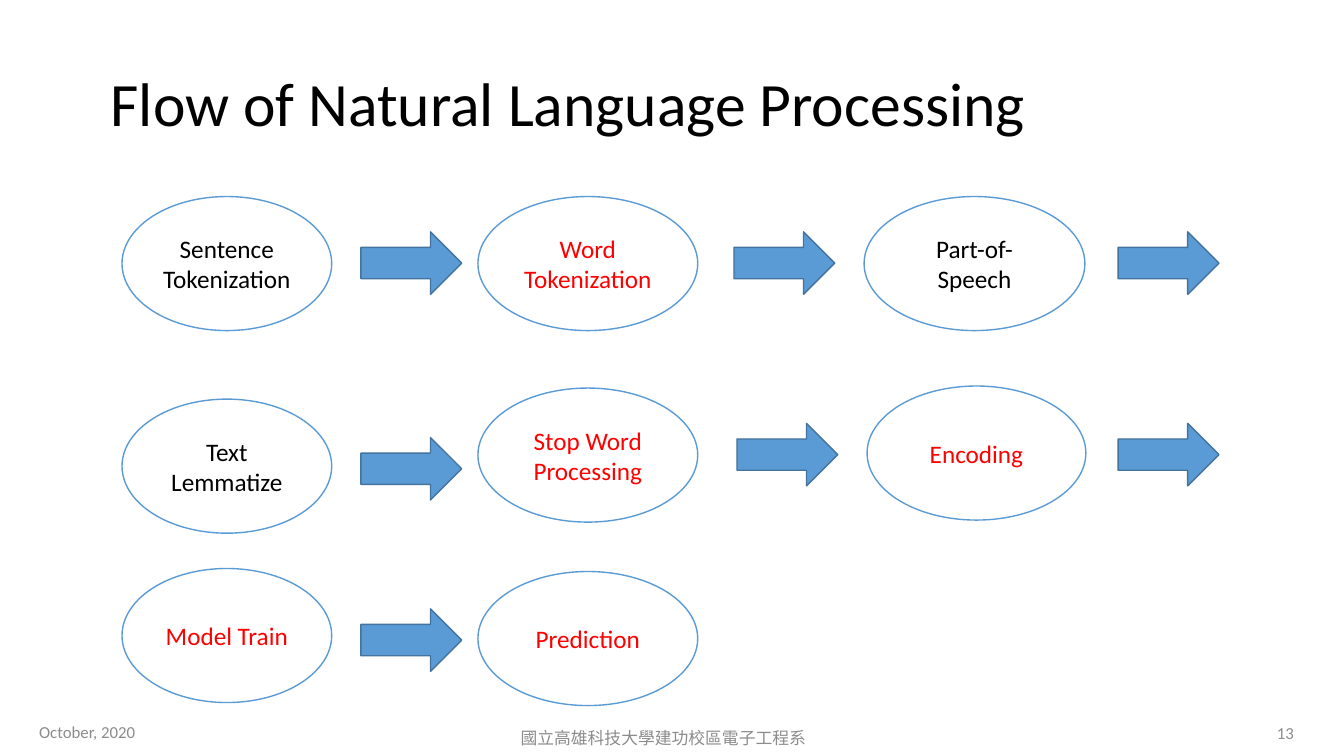
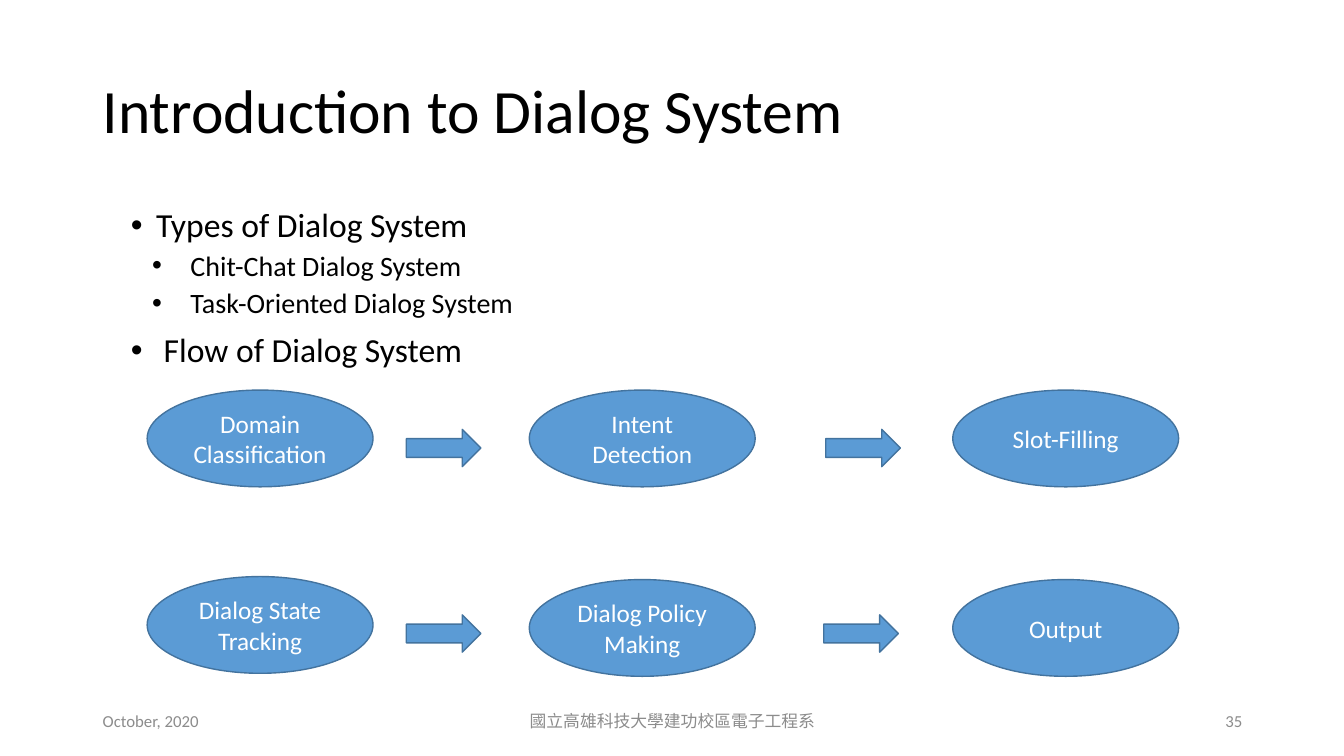
from dataclasses import dataclass

from lxml.etree import SubElement
from pptx import Presentation
from pptx.dml.color import RGBColor
from pptx.enum.shapes import MSO_SHAPE
from pptx.enum.text import MSO_ANCHOR, PP_ALIGN
from pptx.oxml.ns import qn
from pptx.util import Inches, Pt


@dataclass(frozen=True)
class Theme:
    font: str = "Calibri"
    black: RGBColor = RGBColor(0x00, 0x00, 0x00)
    white: RGBColor = RGBColor(0xFF, 0xFF, 0xFF)
    red: RGBColor = RGBColor(0xFF, 0x00, 0x00)
    gray: RGBColor = RGBColor(0x8C, 0x8C, 0x8C)
    blue: RGBColor = RGBColor(0x5B, 0x9B, 0xD5)
    dark_blue: RGBColor = RGBColor(0x43, 0x73, 0x9E)
    title: int = 44
    body: int = 24
    sub: int = 20
    node: int = 18
    footer: int = 12


T = Theme()


def write(tf, text, size=T.node, color=T.black, align=PP_ALIGN.LEFT,
          anchor=MSO_ANCHOR.MIDDLE, spacing=1.0, before=0, level=0):
    """Fill the empty first paragraph of tf, or append a new one."""
    tf.word_wrap = True
    tf.vertical_anchor = anchor
    p = tf.add_paragraph() if tf.text else tf.paragraphs[0]
    p.alignment, p.line_spacing, p.level = align, spacing, level
    p.space_before = Pt(before)
    r = p.add_run()
    r.text = text
    r.font.name, r.font.size, r.font.color.rgb = T.font, Pt(size), color
    return p


def add_shape(s, kind, box, fill=T.blue, line=T.dark_blue):
    sp = s.shapes.add_shape(kind, *map(Inches, box))
    sp.shadow.inherit = False
    sp.fill.solid()
    sp.fill.fore_color.rgb = fill
    sp.line.color.rgb = line
    sp.line.width = Pt(1)
    return sp


prs = Presentation()
prs.slide_width, prs.slide_height = Inches(13.33), Inches(7.5)

# Titles and footers
L, C, R = PP_ALIGN.LEFT, PP_ALIGN.CENTER, PP_ALIGN.RIGHT
frames = [
    ("Flow of Natural Language Processing", (1, 0.68, 11.33, 1.43), MSO_ANCHOR.TOP, "13",
     [(0.29, 7.06, 3, 0.4), (2.93, 7.12, 7.3, 0.4), (12.09, 7.07, 0.84, 0.4)]),
    ("Introduction to Dialog System", (0.92, 0.4, 11.5, 1.45), MSO_ANCHOR.MIDDLE, "35",
     [(0.92, 6.95, 3, 0.4), (4.42, 6.95, 4.5, 0.4), (9.42, 6.95, 3, 0.4)]),
]
slides = []
for title, title_box, anchor, number, footer_boxes in frames:
    s = prs.slides.add_slide(prs.slide_layouts[6])
    tf = s.shapes.add_textbox(*map(Inches, title_box)).text_frame
    write(tf, title, size=T.title, anchor=anchor, spacing=0.9)
    footers = ["October, 2020", "國立高雄科技大學建功校區電子工程系", number]
    for box, text, align in zip(footer_boxes, footers, (L, C, R)):
        tf = s.shapes.add_textbox(*map(Inches, box)).text_frame
        write(tf, text, size=T.footer, color=T.gray, align=align)
    slides.append(s)
language, dialog = slides

# Language processing: outlined steps, red where highlighted
steps = [
    ("Sentence Tokenization", T.black, 1.21, 1.95, 2.08),
    ("Word Tokenization", T.red, 4.74, 1.95, 2.18),
    ("Part-of-Speech", T.black, 8.57, 1.95, 2.19),
    ("Text Lemmatize", T.black, 1.21, 3.96, 2.08),
    ("Stop Word Processing", T.red, 4.74, 3.85, 2.18),
    ("Encoding", T.red, 8.6, 3.83, 2.17),
    ("Model Train", T.red, 1.21, 5.64, 2.08),
    ("Prediction", T.red, 4.74, 5.67, 2.18),
]
for text, color, x, y, w in steps:
    sp = add_shape(language, MSO_SHAPE.OVAL, (x, y, w, 1.33), fill=T.white, line=T.blue)
    write(sp.text_frame, text, color=color, align=C)
for x, y in [(3.58, 2.3), (7.28, 2.3), (11.09, 2.3),
             (3.58, 4.34), (7.31, 4.2), (11.09, 4.2), (3.58, 6.04)]:
    add_shape(language, MSO_SHAPE.RIGHT_ARROW, (x, y, 1, 0.62))

# Dialog system: bullets
bullets = [
    (0, "Types of Dialog System"),
    (1, "Chit-Chat Dialog System"),
    (1, "Task-Oriented Dialog System"),
    (0, " Flow of Dialog System"),
]
levels = [(T.body, 10, 0.25, 0.25), (T.sub, 5, 0.59, 0.38)]
tf = dialog.shapes.add_textbox(*map(Inches, (1.2, 2.02, 10.92, 4.69))).text_frame
for level, text in bullets:
    size, before, margin, hanging = levels[level]
    p = write(tf, text, size=size, anchor=MSO_ANCHOR.TOP, spacing=0.9,
              before=before, level=level)
    pPr = p._p.get_or_add_pPr()
    pPr.set("marL", str(Inches(margin)))
    pPr.set("indent", str(-Inches(hanging)))
    SubElement(pPr, qn("a:buFont"), typeface="Arial")
    SubElement(pPr, qn("a:buChar"), char="•")

# Dialog system: filled stages in two rows
stage_rows = [
    ((3.87, 3.87, 3.87), ("Domain Classification", "Intent Detection", "Slot-Filling")),
    ((5.72, 5.75, 5.75), ("Dialog State Tracking", "Dialog Policy Making", "Output")),
]
for tops, names in stage_rows:
    for x, y, text in zip((1.46, 5.25, 9.45), tops, names):
        sp = add_shape(dialog, MSO_SHAPE.OVAL, (x, y, 2.24, 0.96))
        write(sp.text_frame, text, color=T.white, align=C)
for x, y in [(4.03, 4.26), (8.19, 4.26), (4.03, 6.1), (8.17, 6.1)]:
    add_shape(dialog, MSO_SHAPE.RIGHT_ARROW, (x, y, 0.74, 0.37))

prs.save("out.pptx")
